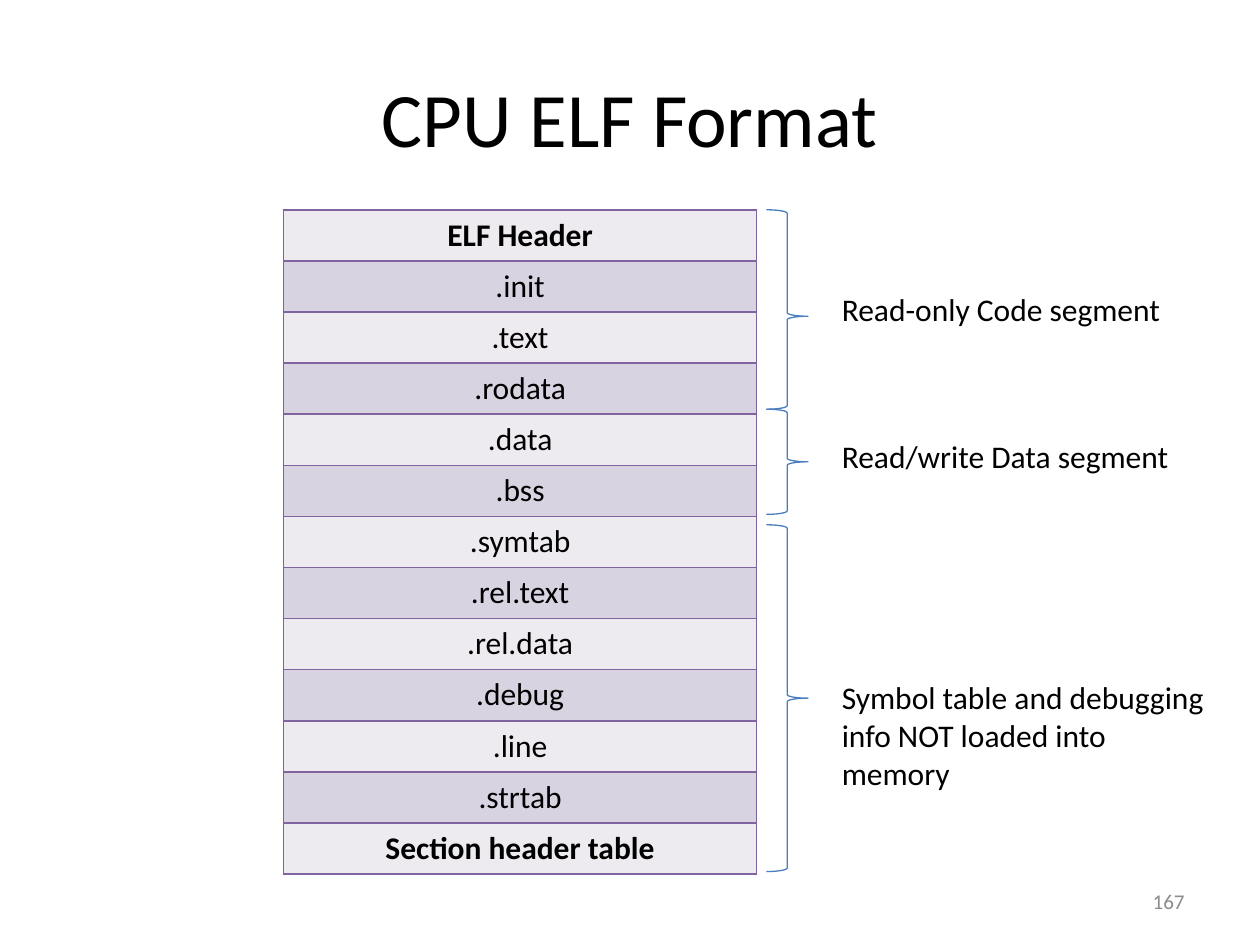
from lxml import etree
from pptx import Presentation
from pptx.dml.color import RGBColor
from pptx.enum.shapes import MSO_SHAPE
from pptx.enum.text import MSO_ANCHOR, PP_ALIGN
from pptx.oxml.ns import qn
from pptx.util import Cm, Pt

TITLE = "CPU ELF Format"
SECTIONS = ["ELF Header", ".init", ".text", ".rodata", ".data", ".bss", ".symtab",
            ".rel.text", ".rel.data", ".debug", ".line", ".strtab", "Section header table"]
BOLD_SECTIONS = {"ELF Header", "Section header table"}
SEGMENTS = [
    {"label": "Read-only Code segment", "label_top": 5.72, "label_height": 1.03,
     "top": 4.23, "height": 4.02, "point": 0.534},
    {"label": "Read/write Data segment", "label_top": 8.68, "label_height": 1.03,
     "top": 8.25, "height": 2.12, "point": 0.5},
    {"label": "Symbol table and debugging info NOT loaded into memory",
     "label_top": 13.55, "label_height": 2.57,
     "top": 10.58, "height": 6.99, "point": 0.5},
]
PAGE_NUMBER = "167"

FONT = "Calibri"
BLACK = RGBColor(0, 0, 0)
GREY = RGBColor(0x8C, 0x8C, 0x8C)
BLUE = RGBColor(0x4B, 0x7E, 0xBC)
ROW_FILLS = [RGBColor(0xED, 0xEA, 0xF0), RGBColor(0xD8, 0xD3, 0xE0)]
BORDER = RGBColor(0x80, 0x64, 0xA2)
LEFT, CENTER, RIGHT = PP_ALIGN.LEFT, PP_ALIGN.CENTER, PP_ALIGN.RIGHT
TOP, MIDDLE = MSO_ANCHOR.TOP, MSO_ANCHOR.MIDDLE
RIGHT_BRACE = MSO_SHAPE.RIGHT_BRACE

TABLE_LEFT, TABLE_TOP, TABLE_WIDTH, ROW_HEIGHT = 5.72, 4.23, 9.53, 1.03
BRACE_LEFT, BRACE_WIDTH = 15.45, 0.84
LABEL_LEFT, LABEL_WIDTH = 16.72, 8.04


def write(frame, text, size, align=LEFT, color=BLACK, bold=False):
    """Put one formatted run in a text frame."""
    paragraph = frame.paragraphs[0]
    paragraph.alignment = align
    run = paragraph.add_run()
    run.text = text
    run.font.name = FONT
    run.font.size = Pt(size)
    run.font.bold = bold
    run.font.color.rgb = color


def add_label(slide, box, text, size, align=LEFT, color=BLACK, anchor=TOP):
    """Add a wrapped text box at box, given in centimetres."""
    frame = slide.shapes.add_textbox(*map(Cm, box)).text_frame
    frame.word_wrap = True
    frame.vertical_anchor = anchor
    write(frame, text, size, align, color)


def add_borders(cell):
    """Draw a thin line on every side of a cell."""
    properties = cell._tc.get_or_add_tcPr()
    for position, side in enumerate(("lnL", "lnR", "lnT", "lnB")):
        line = etree.Element(qn(f"a:{side}"), w=str(Pt(1)))
        fill = etree.SubElement(line, qn("a:solidFill"))
        etree.SubElement(fill, qn("a:srgbClr"), val=str(BORDER))
        properties.insert(position, line)


def add_sections(slide):
    """Add the one-column table of file sections."""
    table = slide.shapes.add_table(
        len(SECTIONS), 1, Cm(TABLE_LEFT), Cm(TABLE_TOP),
        Cm(TABLE_WIDTH), Cm(ROW_HEIGHT * len(SECTIONS))).table
    table.first_row = table.horz_banding = False
    for index, section in enumerate(SECTIONS):
        table.rows[index].height = Cm(ROW_HEIGHT)
        cell = table.cell(index, 0)
        cell.fill.solid()
        cell.fill.fore_color.rgb = ROW_FILLS[index % 2]
        add_borders(cell)
        write(cell.text_frame, section, 18, CENTER, bold=section in BOLD_SECTIONS)


def add_segment(slide, label, label_top, label_height, top, height, point):
    """Add a brace and the label of the segment it spans."""
    brace = slide.shapes.add_shape(
        RIGHT_BRACE, Cm(BRACE_LEFT), Cm(top), Cm(BRACE_WIDTH), Cm(height))
    brace.shadow.inherit = False
    brace.fill.background()
    brace.line.color.rgb = BLUE
    brace.line.width = Pt(0.75)
    brace.adjustments[1] = point
    add_label(slide, (LABEL_LEFT, label_top, LABEL_WIDTH, label_height), label, 18)


def main():
    """Build the slide and save it."""
    deck = Presentation()
    deck.slide_width, deck.slide_height = Cm(25.4), Cm(19.05)
    slide = deck.slides.add_slide(deck.slide_layouts[5])
    title = slide.shapes.title
    title.left, title.top, title.width, title.height = map(Cm, (1.27, 0.76, 22.86, 3.18))
    title.text_frame.vertical_anchor = MIDDLE
    write(title.text_frame, TITLE, 44, CENTER)
    add_sections(slide)
    for segment in SEGMENTS:
        add_segment(slide, **segment)
    add_label(slide, (18.2, 17.66, 5.93, 1.01), PAGE_NUMBER, 12, RIGHT, GREY, MIDDLE)
    deck.save("out.pptx")


if __name__ == "__main__":
    main()
